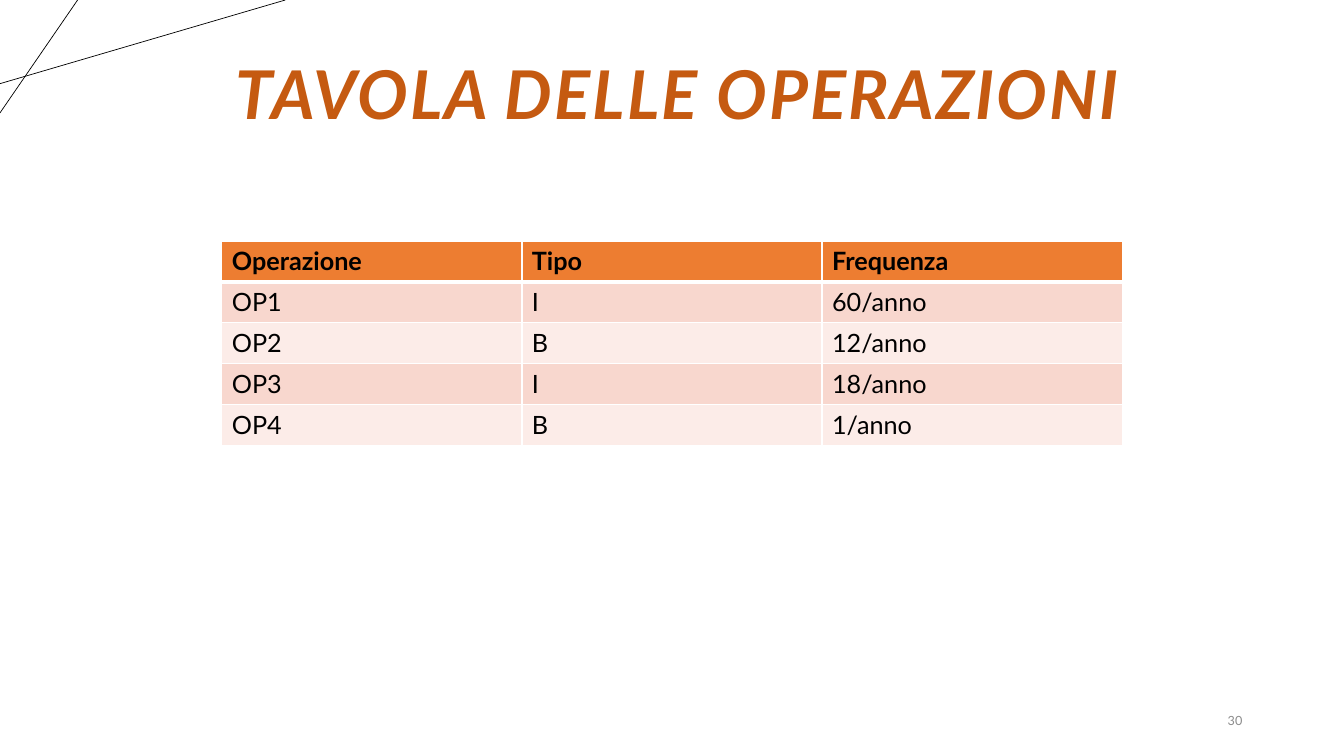
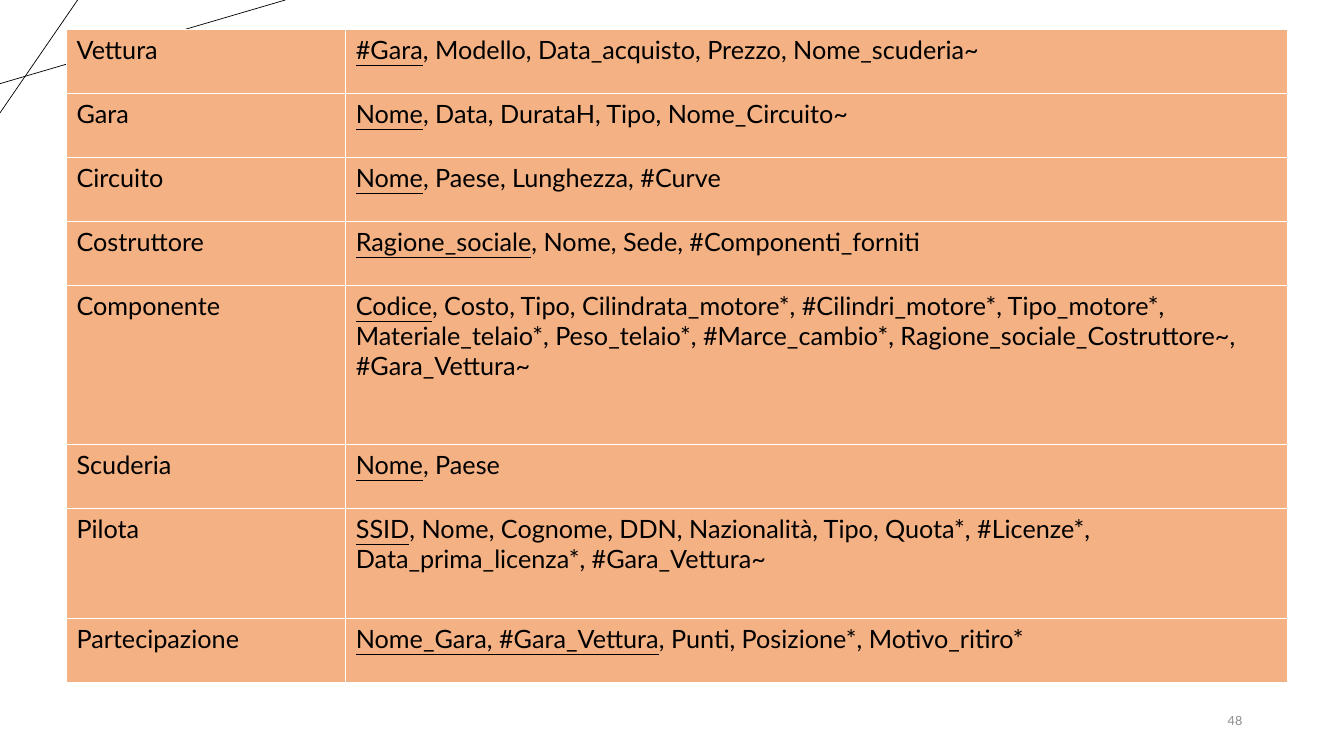
from dataclasses import dataclass

from lxml import etree
from pptx import Presentation
from pptx.dml.color import RGBColor
from pptx.enum.shapes import MSO_CONNECTOR
from pptx.enum.text import MSO_ANCHOR, PP_ALIGN
from pptx.oxml.ns import qn
from pptx.util import Inches, Pt

STRAIGHT = MSO_CONNECTOR.STRAIGHT
BOTTOM, MIDDLE = MSO_ANCHOR.BOTTOM, MSO_ANCHOR.MIDDLE
RIGHT = PP_ALIGN.RIGHT


@dataclass(frozen=True)
class Theme:
    font: str = "Lato"
    ink: str = "000000"
    title: str = "C55A11"
    number: str = "8C8C8C"
    header: str = "ED7D31"
    bands: tuple = ("F8D7CE", "FCECE8")
    schema: str = "F4B183"
    border: str = "FFFFFF"
    title_size: int = 48
    body_size: int = 18
    number_size: int = 9
    rule: float = 0.5
    border_width: int = 1
    header_border: int = 3


class Deck:
    CORNER_LINES = ((0, 0.83, 2.83, 0), (0.77, 0, 0, 1.12))

    def __init__(self, theme):
        self.theme = theme
        self.presentation = Presentation()
        self.presentation.slide_width = Inches(13.33)
        self.presentation.slide_height = Inches(7.5)
        self.slide = None

    def new_slide(self, number):
        """Start a slide with the shared corner lines and its page number."""
        blank = self.presentation.slide_layouts[6]
        self.slide = self.presentation.slides.add_slide(blank)
        for ends in self.CORNER_LINES:
            self.line(*ends)
        self.text(str(number), (9.42, 6.95, 3, 0.4), MIDDLE,
                  size=self.theme.number_size, color=self.theme.number)

    def line(self, *ends):
        rule = self.slide.shapes.add_connector(STRAIGHT, *map(Inches, ends))
        rule.line.color.rgb = RGBColor.from_string(self.theme.ink)
        rule.line.width = Pt(self.theme.rule)
        etree.SubElement(rule._element.spPr, qn("a:effectLst"))

    def run(self, paragraph, words, size=None, color=None, **formats):
        run = paragraph.add_run()
        run.text = words
        run.font.color.rgb = RGBColor.from_string(color or self.theme.ink)
        formats.update(name=self.theme.font, size=Pt(size or self.theme.body_size))
        for attribute, value in formats.items():
            setattr(run.font, attribute, value)
        return run

    def text(self, words, box, anchor, line_spacing=1.0, **formats):
        """Add a right-aligned text box and return its run."""
        frame = self.slide.shapes.add_textbox(*map(Inches, box)).text_frame
        frame.word_wrap = True
        frame.vertical_anchor = anchor
        paragraph = frame.paragraphs[0]
        paragraph.alignment = RIGHT
        paragraph.line_spacing = line_spacing
        return self.run(paragraph, words, **formats)

    def title(self, words):
        run = self.text(words, (2.12, 0.36, 9.09, 1.02), BOTTOM, 0.9,
                        size=self.theme.title_size, color=self.theme.title,
                        bold=True, italic=True)
        run._r.get_or_add_rPr().set("spc", "150")

    def table(self, box, widths, heights):
        """Add an unstyled table with the given column widths and row heights."""
        table = self.slide.shapes.add_table(
            len(heights), len(widths), *map(Inches, box)).table
        table.first_row = table.horz_banding = False
        for column, width in zip(table.columns, widths):
            column.width = Inches(width)
        for row, height in zip(table.rows, heights):
            row.height = Inches(height)
        return table

    def cell(self, cell, fill, runs, top=None, bottom=None):
        """Fill, border and write a cell; runs are (words, formats) pairs."""
        cell.fill.solid()
        cell.fill.fore_color.rgb = RGBColor.from_string(fill)
        thin = self.theme.border_width
        widths = {"lnL": thin, "lnR": thin, "lnT": top or thin, "lnB": bottom or thin}
        properties = cell._tc.get_or_add_tcPr()
        for position, (side, width) in enumerate(widths.items()):
            edge = etree.Element(qn(f"a:{side}"), w=str(Pt(width)))
            paint = etree.SubElement(edge, qn("a:solidFill"))
            etree.SubElement(paint, qn("a:srgbClr"), val=self.theme.border)
            properties.insert(position, edge)
        for words, formats in runs:
            self.run(cell.text_frame.paragraphs[0], words, **formats)


OPERATIONS = (
    ("Operazione", "Tipo", "Frequenza"),
    ("OP1", "I", "60/anno"),
    ("OP2", "B", "12/anno"),
    ("OP3", "I", "18/anno"),
    ("OP4", "B", "1/anno"),
)

# Entity, key attributes, other attributes
SCHEMA = (
    ("Vettura", "#Gara", ", Modello, Data_acquisto, Prezzo, Nome_scuderia~"),
    ("Gara", "Nome", ", Data, DurataH, Tipo, Nome_Circuito~"),
    ("Circuito", "Nome", ", Paese, Lunghezza, #Curve"),
    ("Costruttore", "Ragione_sociale", ", Nome, Sede, #Componenti_forniti"),
    ("Componente", "Codice",
     ", Costo, Tipo, Cilindrata_motore*, #Cilindri_motore*, Tipo_motore*, "
     "Materiale_telaio*, Peso_telaio*, #Marce_cambio*, "
     "Ragione_sociale_Costruttore~, #Gara_Vettura~"),
    ("Scuderia", "Nome", ", Paese"),
    ("Pilota", "SSID",
     ", Nome, Cognome, DDN, Nazionalità, Tipo, Quota*, #Licenze*, "
     "Data_prima_licenza*, #Gara_Vettura~"),
    ("Partecipazione", "Nome_Gara, #Gara_Vettura",
     ", Punti, Posizione*, Motivo_ritiro*"),
)
TALL_ROWS = {"Componente": 1.58, "Pilota": 1.09}


def operations_slide(deck):
    theme = deck.theme
    deck.new_slide(30)
    deck.title("TAVOLA DELLE OPERAZIONI")
    width, height = 8.93, 2.03
    columns, rows = len(OPERATIONS[0]), len(OPERATIONS)
    table = deck.table((2.2, 2.39, width, height),
                       [width / columns] * columns, [height / rows] * rows)
    for r, operation in enumerate(OPERATIONS):
        is_header = r == 0
        fill = theme.header if is_header else theme.bands[(r - 1) % 2]
        top = theme.header_border if r == 1 else None
        bottom = theme.header_border if is_header else None
        for c, words in enumerate(operation):
            deck.cell(table.cell(r, c), fill, [(words, {"bold": is_header})],
                      top, bottom)


def schema_slide(deck):
    deck.new_slide(48)
    height = 6.48
    plain = (height - sum(TALL_ROWS.values())) / (len(SCHEMA) - len(TALL_ROWS))
    heights = [TALL_ROWS.get(entity, plain) for entity, _, _ in SCHEMA]
    table = deck.table((0.66, 0.29, 12.11, height), (2.77, 9.34), heights)
    for r, (entity, key, others) in enumerate(SCHEMA):
        attributes = [(key, {"underline": True}), (others, {})]
        for c, runs in enumerate(([(entity, {})], attributes)):
            deck.cell(table.cell(r, c), deck.theme.schema, runs)


def main():
    deck = Deck(Theme())
    operations_slide(deck)
    schema_slide(deck)
    deck.presentation.save("out.pptx")


if __name__ == "__main__":
    main()
